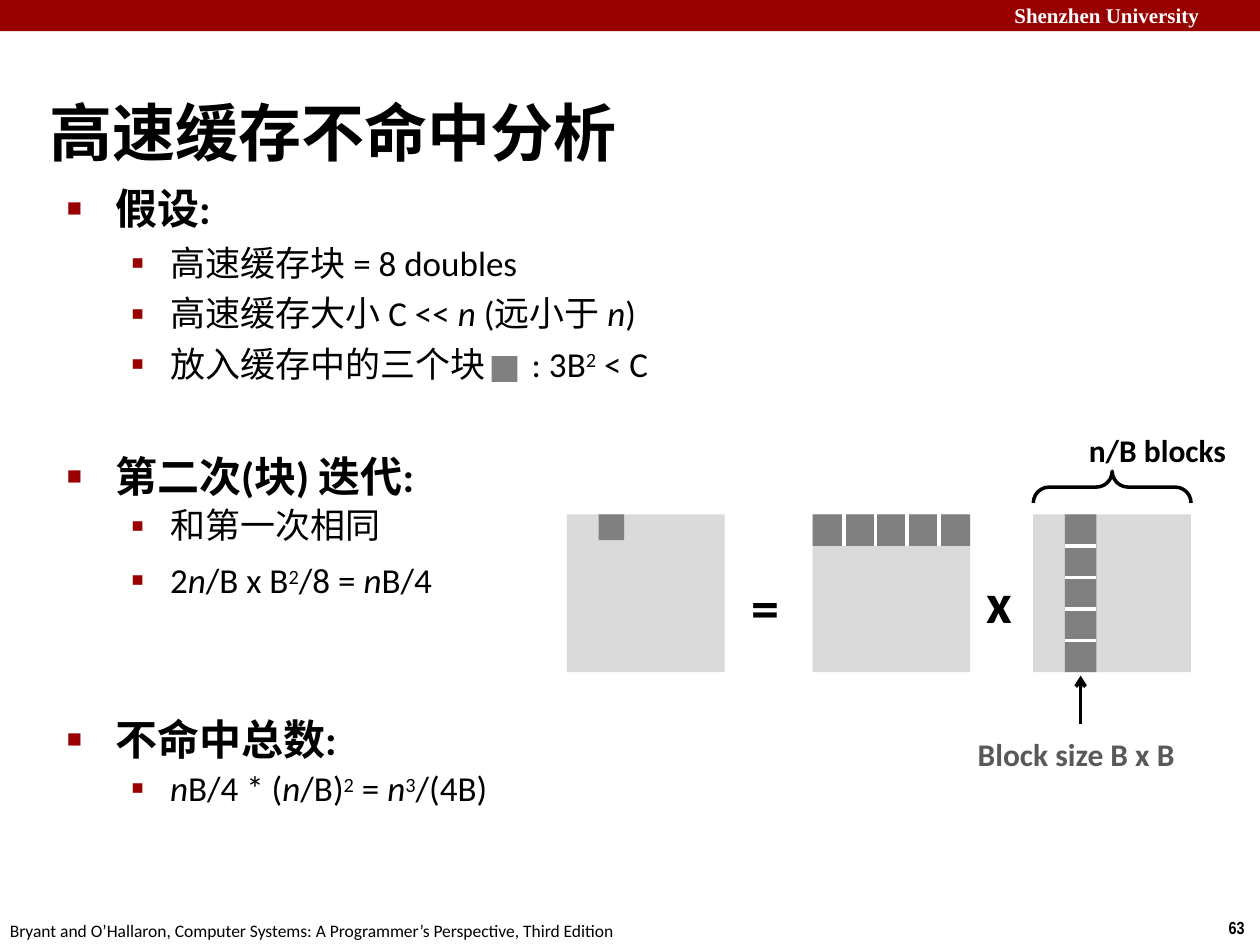
import pptx
import pptx.chart.data
import pptx.dml.color
import pptx.enum.shapes
import pptx.enum.text
import pptx.oxml
import pptx.oxml.ns
import pptx.util
from pptx.util import Cm

SHAPE = pptx.enum.shapes.MSO_SHAPE
RED, BLACK, WHITE = "990000", "000000", "FFFFFF"
LIGHT, DARK, LABEL = "DADADA", "808080", "595958"
ITALIC, RAISED = "italic", "raised"
N = ("n", ITALIC)
SQUARED = ("2", RAISED)
CUBED = ("3", RAISED)


def color(hex_value):
    """Return the colour for a hex string."""
    return pptx.dml.color.RGBColor.from_string(hex_value)


def add_xml(parent, tag, content="", **attributes):
    """Append a drawing element to a parent."""
    listed = "".join(f' {key}="{value}"' for key, value in attributes.items())
    namespace = pptx.oxml.ns.nsdecls("a")
    parent.append(pptx.oxml.parse_xml(f"<a:{tag} {namespace}{listed}>{content}</a:{tag}>"))


def add_block(slide, left, top, width, height, fill):
    """Add a plain filled rectangle."""
    block = slide.shapes.add_shape(SHAPE.RECTANGLE, Cm(left), Cm(top), Cm(width), Cm(height))
    block.shadow.inherit = False
    block.fill.solid()
    block.fill.fore_color.rgb = color(fill)
    block.line.fill.background()


def add_line(slide, x1, y1, x2, y2, stroke, arrow=False):
    """Add a straight line, with an arrowhead at its end if wanted."""
    line = slide.shapes.add_connector(
        pptx.enum.shapes.MSO_CONNECTOR.STRAIGHT, Cm(x1), Cm(y1), Cm(x2), Cm(y2))
    line.line.color.rgb = color(stroke)
    line.line.width = pptx.util.Pt(2)
    if arrow:
        add_xml(line.line._get_or_add_ln(), "tailEnd", type="arrow")
    add_xml(line._element.spPr, "effectLst")


def add_frame(slide, left, top, width, height, insets=(0, 0, 0, 0)):
    """Add a wrapping text box and return its text frame."""
    frame = slide.shapes.add_textbox(Cm(left), Cm(top), Cm(width), Cm(height)).text_frame
    frame.word_wrap = True
    frame.margin_left, frame.margin_top, frame.margin_right, frame.margin_bottom = map(Cm, insets)
    return frame


def set_font(paragraph, size, bold=False, fill=BLACK, name="Calibri"):
    """Set the font that all runs of a paragraph share."""
    font = paragraph.font
    font.size, font.bold, font.name = pptx.util.Pt(size), bold, name
    font.color.rgb = color(fill)


def add_label(slide, box, text, size, insets=(0, 0, 0, 0), **font):
    """Add a single line of text and return its frame."""
    frame = add_frame(slide, *box, insets)
    frame.paragraphs[0].text = text
    set_font(frame.paragraphs[0], size, **font)
    return frame


def set_bullet(paragraph, symbol, percent, margin, hanging):
    """Give a paragraph a red hanging bullet."""
    properties = paragraph._p.get_or_add_pPr()
    properties.set("marL", str(Cm(margin)))
    properties.set("indent", str(-Cm(hanging)))
    add_xml(properties, "buClr", f'<a:srgbClr val="{RED}"/>')
    add_xml(properties, "buSzPct", val=percent * 1000)
    add_xml(properties, "buFont", typeface="Arial")
    add_xml(properties, "buChar", char=symbol)


def add_heading(paragraph, text):
    """Write a bold first-level point."""
    paragraph.text = text
    set_bullet(paragraph, "■", 60, 1, 0.97)
    set_font(paragraph, 24, bold=True)


def add_point(paragraph, parts, margin, space=0, tab=None):
    """Write a second-level point from plain and styled parts."""
    for part in parts:
        text, style = (part, None) if isinstance(part, str) else part
        run = paragraph.add_run()
        run.text = text
        if style == ITALIC:
            run.font.italic = True
        elif style == RAISED:
            run._r.get_or_add_rPr().set("baseline", "26000")
    if space:
        paragraph.space_before = pptx.util.Pt(space)
    set_bullet(paragraph, "▪", 110, margin, 0.79)
    if tab:
        add_xml(paragraph._p.pPr, "tabLst", f'<a:tab pos="{Cm(tab)}" algn="l"/>')
    set_font(paragraph, 20)


def add_page_frame(slide, width, height):
    """Add the header band and the footer."""
    insets = (0.25, 0.13, 0.25, 0.13)
    add_block(slide, 0, 0, width, 0.63, RED)
    add_label(slide, (width - 5.2, -0.08, 5.38, 0.76), "Shenzhen University", 12, insets,
              bold=True, fill=WHITE, name="Times New Roman")
    add_label(slide, (width - 0.86, height - 0.69, 0.86, 0.69), "63", 10, (0.23, 0.13, 0, 0.13),
              bold=True, name="Arial Narrow")
    add_label(slide, (-0.05, height - 0.63, 12.93, 0.69),
              "Bryant and O’Hallaron, Computer Systems: A Programmer’s Perspective, Third Edition",
              10, insets)


def add_assumptions(slide, left, top):
    """Add the assumptions with the block sample in the last one."""
    frame = add_frame(slide, left, top, 13.49, 4.11)
    add_heading(frame.paragraphs[0], "假设:")
    points = [
        ["高速缓存块 = 8 doubles"],
        ["高速缓存大小 C << ", N, " (远小于 ", N, ")"],
        ["放入缓存中的三个块\t: 3B", SQUARED, " < C"],
    ]
    for parts in points:
        add_point(frame.add_paragraph(), parts, 2.11, 4.8, 9.4)
    add_block(slide, left + 8.59, top + 3.5, 0.52, 0.52, DARK)


def add_section(slide, left, top, heading, points, width, drop):
    """Add a heading with its points in a box below it."""
    add_heading(add_frame(slide, left, top, width, 1.02).paragraphs[0], heading)
    frame = add_frame(slide, left + 1.27, top + drop, 7.3, 0.95 * len(points))
    for index, parts in enumerate(points):
        paragraph = frame.add_paragraph() if index else frame.paragraphs[0]
        add_point(paragraph, parts, 0.84, 7 * index)


def add_product(slide, left, top, side, count):
    """Add the blocked matrix product and its labels."""
    block = side / count
    row_left, column_left = left + 4.95, left + 9.4
    strip = column_left + block
    for matrix_left in (left, row_left, column_left):
        add_block(slide, matrix_left, top, side, side, LIGHT)
    add_block(slide, left + block, top, 0.52, 0.52, DARK)
    add_block(slide, row_left, top, side, block, DARK)
    add_block(slide, strip, top, block, side, DARK)
    for index in range(1, count):
        step = index * block
        add_line(slide, row_left + step, top, row_left + step, top + block, WHITE)
        add_line(slide, strip, top + step, strip + block, top + step, WHITE)
    add_label(slide, (left + 3.73, top + 1.17, 0.64, 1.19), "=", 32, bold=True)
    add_label(slide, (left + 8.46, top + 1.07, 0.64, 1.19), "x", 32, bold=True)

    add_label(slide, (column_left + 1.12, top - 1.68, 2.9, 0.71), "n/B blocks", 18, bold=True)
    depth = 0.64
    brace = slide.shapes.add_shape(
        SHAPE.LEFT_BRACE, Cm(column_left + (side - depth) / 2),
        Cm(top - 0.55 - (side + depth) / 2 + depth / 2), Cm(depth), Cm(side))
    brace.rotation = 90
    brace.adjustments[0] = 0.5
    brace.shadow.inherit = False
    brace.fill.background()
    brace.line.color.rgb = color(BLACK)
    brace.line.width = pptx.util.Pt(2)

    center = strip + block / 2
    add_line(slide, center, top + side + 1.04, center, top + side + 0.07, BLACK, arrow=True)
    add_label(slide, (column_left - 1.12, top + 4.45, 4.2, 0.71), "Block size B x B", 18,
              bold=True, fill=LABEL)


def main():
    """Build and save the slide."""
    deck = pptx.Presentation()
    deck.slide_width, deck.slide_height = Cm(25.4), Cm(19.05)
    slide = deck.slides.add_slide(deck.slide_layouts[6])
    add_page_frame(slide, 25.4, 19.05)
    title = add_label(slide, (1, 1.09, 21.08, 2.34), "高速缓存不命中分析", 36,
                      (0, 0.79, 0, 0), bold=True)
    title.vertical_anchor = pptx.enum.text.MSO_ANCHOR.MIDDLE
    add_assumptions(slide, 1.32, 3.68)
    add_section(slide, 1.32, 9.09, "第二次(块) 迭代:", [
        ["和第一次相同"],
        ["2", N, "/B x B", SQUARED, "/8 = ", N, "B/4"],
    ], 9.65, 1.07)
    add_section(slide, 1.32, 14.38, "不命中总数:", [
        [N, "B/4 * (", N, "/B)", SQUARED, " = ", N, CUBED, "/(4B)"],
    ], 5.59, 1.07)
    add_product(slide, 11.43, 10.37, 3.18, 5)
    deck.save("out.pptx")


if __name__ == "__main__":
    main()
